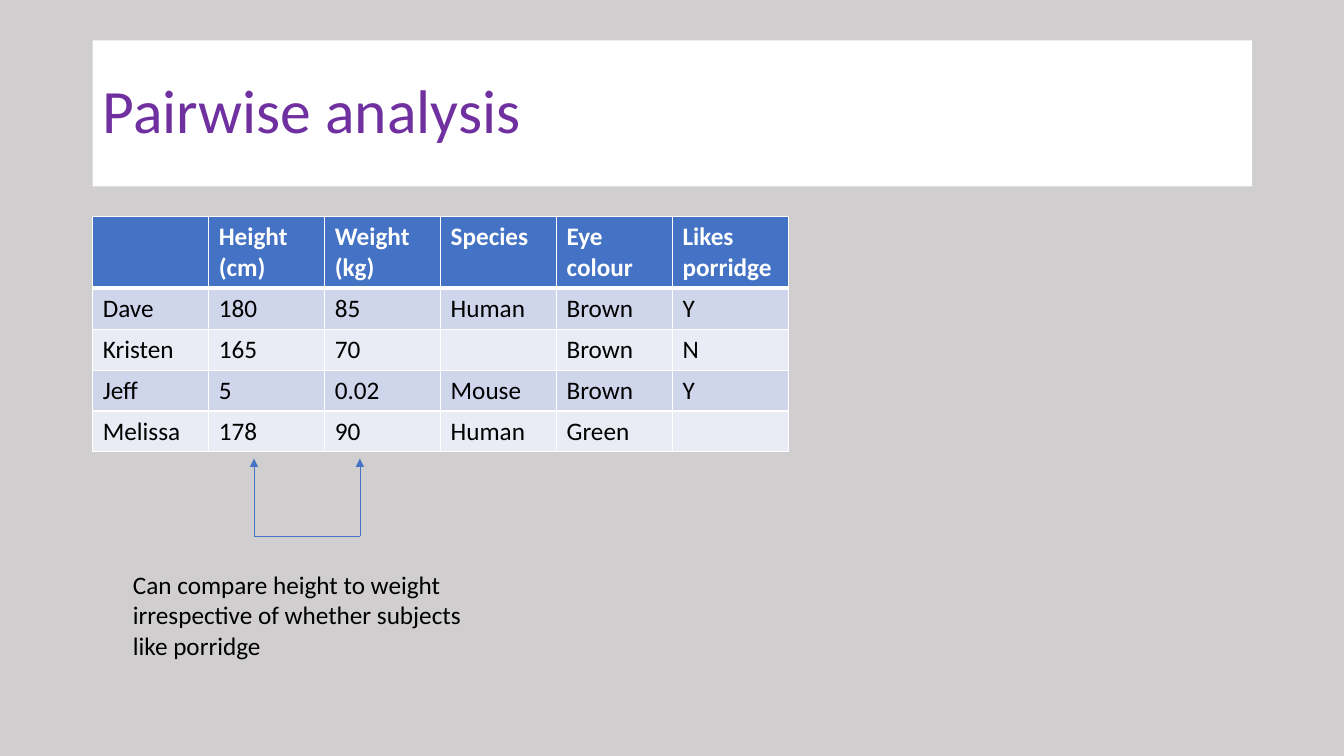
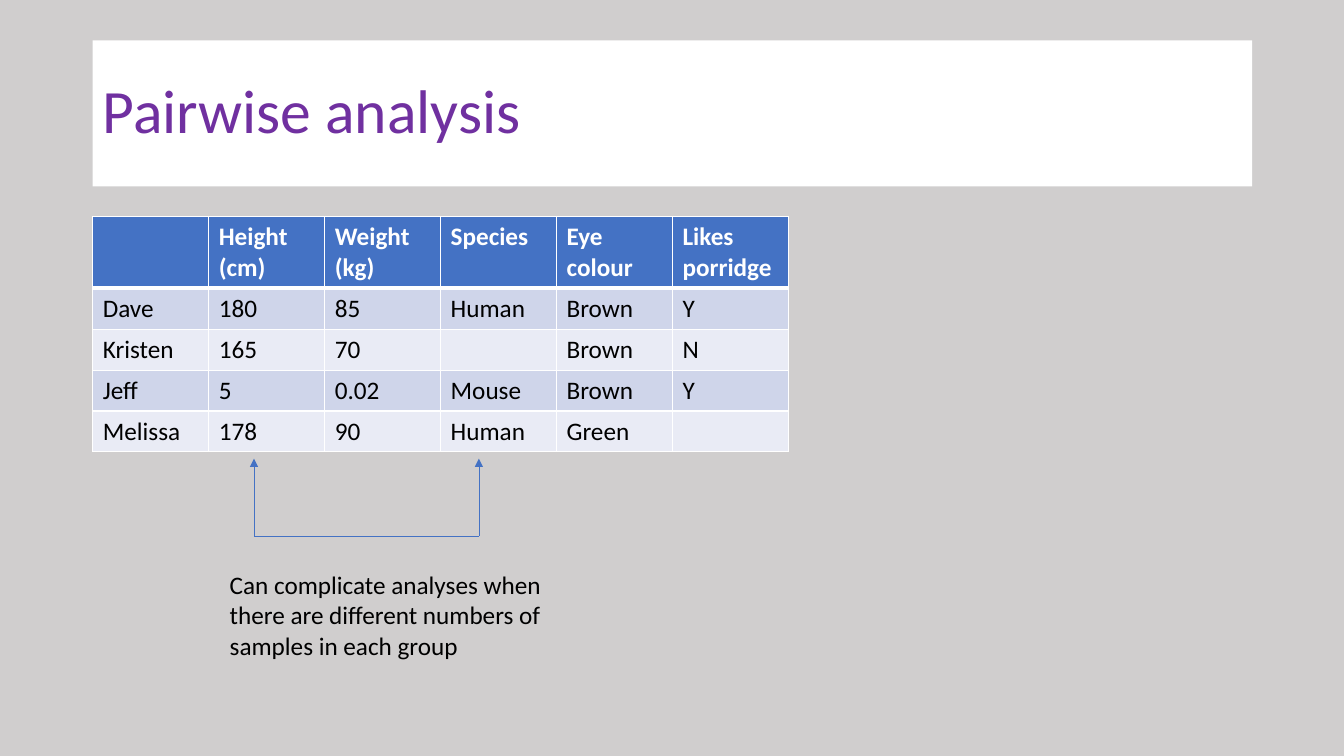
"""Build two slides on pairwise analysis of a small data table."""
from dataclasses import dataclass

from lxml import etree
from pptx import Presentation
from pptx.dml.color import RGBColor
from pptx.enum.shapes import MSO_CONNECTOR, MSO_SHAPE
from pptx.enum.text import MSO_ANCHOR, PP_ALIGN
from pptx.oxml.ns import qn
from pptx.util import Inches, Pt

RECT = MSO_SHAPE.RECTANGLE
STRAIGHT = MSO_CONNECTOR.STRAIGHT
MIDDLE = MSO_ANCHOR.MIDDLE
LEFT = PP_ALIGN.LEFT


@dataclass(frozen=True)
class Theme:
    font: str = "Calibri"
    title_size: int = 44
    body_size: int = 18
    background: str = "D0CECE"
    white: str = "FFFFFF"
    black: str = "000000"
    title: str = "7030A0"
    accent: str = "4472C4"
    band_dark: str = "CFD5EA"
    band_light: str = "E9EBF5"
    arrow_width: float = 0.5
    border: int = 1
    header_border: int = 3


MARGIN = 0.92
TABLE_TOP = 2.15
COL_WIDTH = 1.15
HEADER_HEIGHT = 0.7
ROW_HEIGHT = 0.405
ARROW_TOP, ARROW_BASE = 4.55, 5.32
HEIGHT_X = 2.52

TITLE = "Pairwise analysis"
SUBJECTS = [
    ["", "Height (cm)", "Weight (kg)", "Species", "Eye colour", "Likes porridge"],
    ["Dave", "180", "85", "Human", "Brown", "Y"],
    ["Kristen", "165", "70", "", "Brown", "N"],
    ["Jeff", "5", "0.02", "Mouse", "Brown", "Y"],
    ["Melissa", "178", "90", "Human", "Green", ""],
]
COMPARISONS = [
    (3.57, 1.22, "Can compare height to weight irrespective of whether "
                 "subjects like porridge"),
    (4.75, 2.18, "Can complicate analyses when there are different numbers "
                 "of samples in each group"),
]


class Deck:
    def __init__(self, theme):
        self.theme = theme
        self.prs = Presentation()
        self.prs.slide_width = Inches(13.33)
        self.prs.slide_height = Inches(7.5)
        self.slide = None

    def new_slide(self):
        self.slide = self.prs.slides.add_slide(self.prs.slide_layouts[6])
        fill = self.slide.background.fill
        fill.solid()
        fill.fore_color.rgb = RGBColor.from_string(self.theme.background)

    def style(self, p, size, color, bold=False):
        p.alignment = LEFT
        p.font.name = self.theme.font
        p.font.size = Pt(size)
        p.font.bold = bold
        p.font.color.rgb = RGBColor.from_string(color)

    def title(self, text):
        sp = self.slide.shapes.add_shape(
            RECT, Inches(MARGIN), Inches(0.4), Inches(11.5), Inches(1.45))
        sp.shadow.inherit = False
        sp.fill.solid()
        sp.fill.fore_color.rgb = RGBColor.from_string(self.theme.white)
        sp.line.fill.background()
        tf = sp.text_frame
        tf.word_wrap = True
        tf.vertical_anchor = MIDDLE
        p = tf.paragraphs[0]
        p.text = text
        p.line_spacing = 0.9
        self.style(p, self.theme.title_size, self.theme.title)

    def cell_borders(self, cell, top, bottom):
        tc_pr = cell._tc.get_or_add_tcPr()
        sides = {"lnL": self.theme.border, "lnR": self.theme.border,
                 "lnT": top, "lnB": bottom}
        for side, width in sides.items():
            ln = etree.SubElement(tc_pr, qn(f"a:{side}"), w=str(Pt(width)))
            fill = etree.SubElement(ln, qn("a:solidFill"))
            etree.SubElement(fill, qn("a:srgbClr"), val=self.theme.white)

    def table(self, rows):
        t = self.theme
        n_rows, n_cols = len(rows), len(rows[0])
        height = HEADER_HEIGHT + ROW_HEIGHT * (n_rows - 1)
        table = self.slide.shapes.add_table(
            n_rows, n_cols, Inches(MARGIN), Inches(TABLE_TOP),
            Inches(COL_WIDTH * n_cols), Inches(height)).table
        for column in table.columns:
            column.width = Inches(COL_WIDTH)
        for i, row in enumerate(rows):
            header = i == 0
            table.rows[i].height = Inches(HEADER_HEIGHT if header else ROW_HEIGHT)
            band = t.accent if header else t.band_dark if i % 2 else t.band_light
            top = t.header_border if i == 1 else t.border
            bottom = t.header_border if header else t.border
            for j, text in enumerate(row):
                cell = table.cell(i, j)
                self.cell_borders(cell, top, bottom)
                cell.fill.solid()
                cell.fill.fore_color.rgb = RGBColor.from_string(band)
                p = cell.text_frame.paragraphs[0]
                if text:
                    p.text = text
                self.style(p, t.body_size, t.white if header else t.black, header)

    def line(self, x1, y1, x2, y2, arrow=False):
        c = self.slide.shapes.add_connector(
            STRAIGHT, Inches(x1), Inches(y1), Inches(x2), Inches(y2))
        c.line.color.rgb = RGBColor.from_string(self.theme.accent)
        c.line.width = Pt(self.theme.arrow_width)
        if arrow:
            etree.SubElement(c.line._get_or_add_ln(), qn("a:tailEnd"),
                             type="triangle")
        etree.SubElement(c._element.spPr, qn("a:effectLst"))

    def bracket(self, left, right):
        for x in (left, right):
            self.line(x, ARROW_BASE, x, ARROW_TOP, arrow=True)
        self.line(left, ARROW_BASE, right, ARROW_BASE)

    def note(self, left, text):
        sp = self.slide.shapes.add_textbox(
            Inches(left), Inches(5.6), Inches(3.47), Inches(1.01))
        tf = sp.text_frame
        tf.word_wrap = True
        p = tf.paragraphs[0]
        p.text = text
        self.style(p, self.theme.body_size, self.theme.black)


def main():
    deck = Deck(Theme())
    for compared_x, note_left, note in COMPARISONS:
        deck.new_slide()
        deck.title(TITLE)
        deck.table(SUBJECTS)
        deck.bracket(HEIGHT_X, compared_x)
        deck.note(note_left, note)
    deck.prs.save("out.pptx")


if __name__ == "__main__":
    main()
